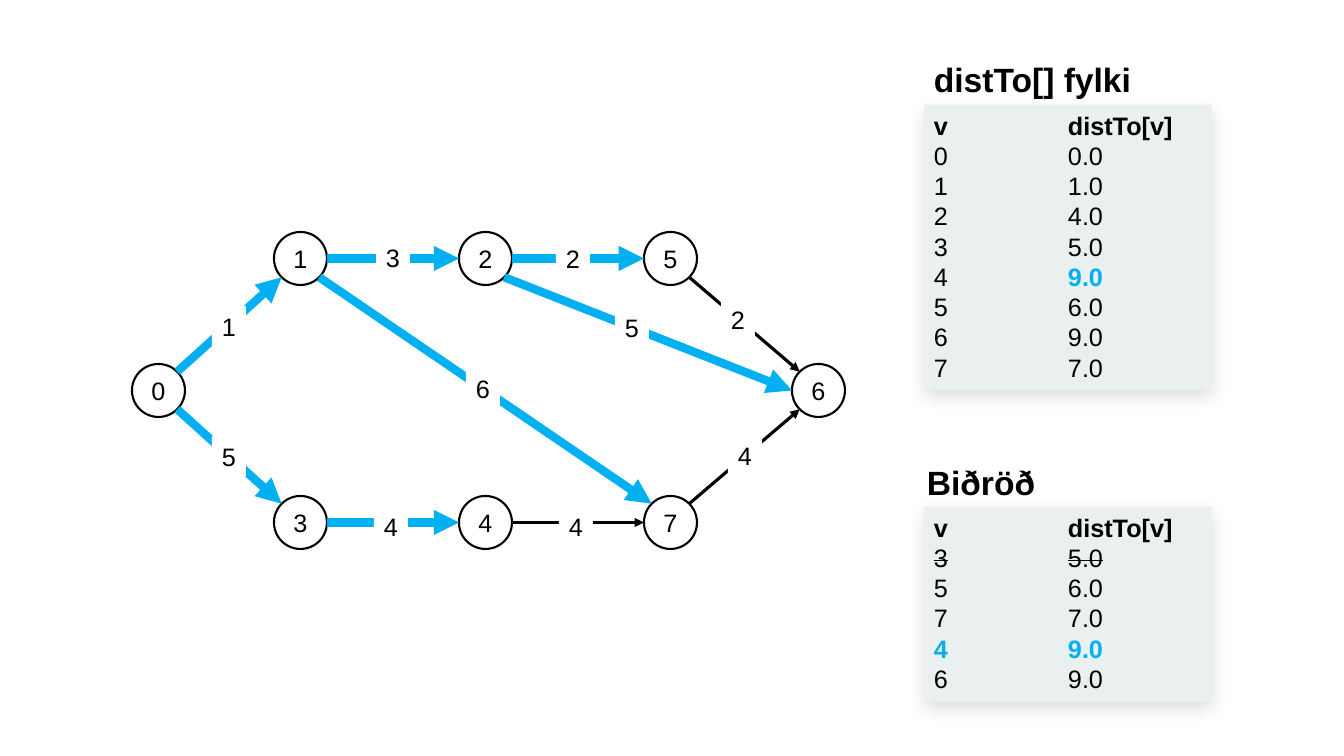
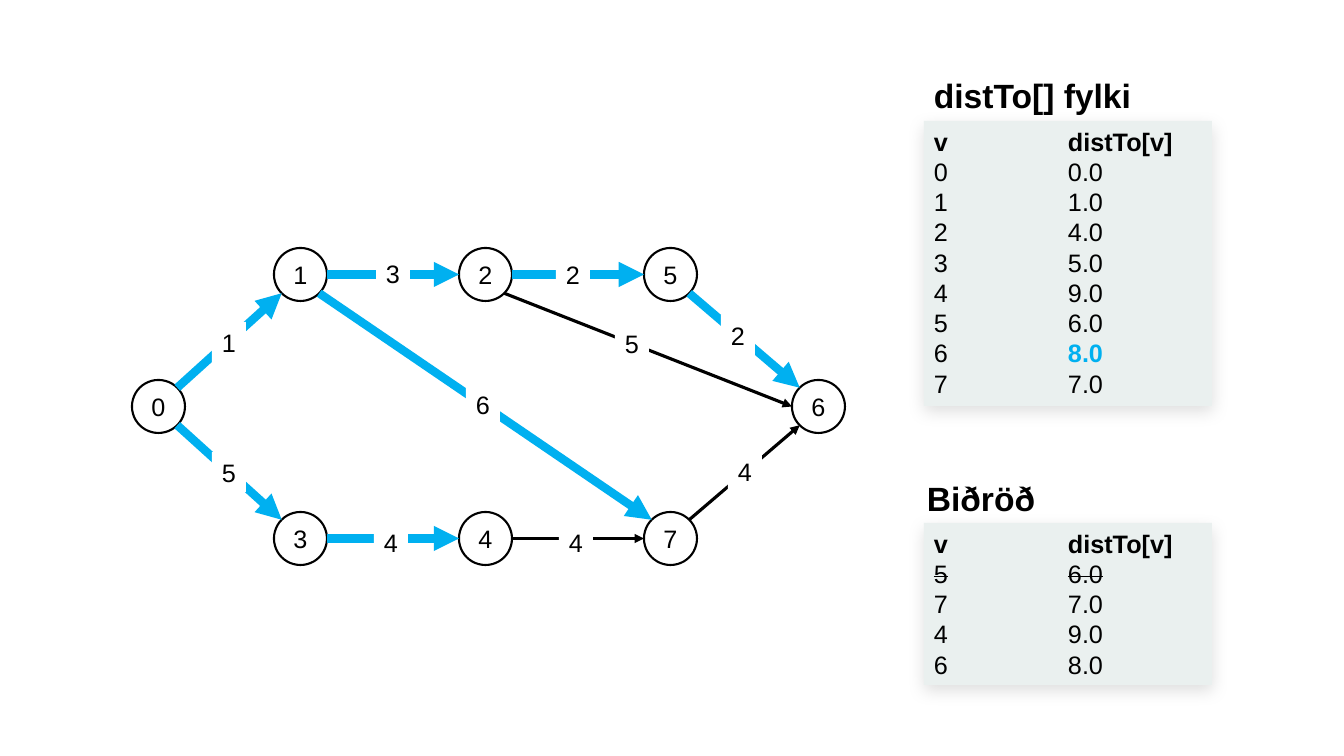
"""Build two slides that step through shortest paths on a weighted graph."""
from math import cos, radians, sin

from lxml.etree import SubElement
from pptx import Presentation
from pptx.dml.color import RGBColor
from pptx.enum.shapes import MSO_CONNECTOR, MSO_SHAPE
from pptx.enum.text import MSO_ANCHOR, PP_ALIGN
from pptx.oxml.ns import qn
from pptx.util import Pt

BLACK, WHITE, BLUE, PANEL = "000000", "FFFFFF", "00B0F0", "EAF0EF"
NODE = 53
SHIFT = 16
NODES = {
    0: (132, 364), 1: (274, 232), 3: (274, 496), 2: (459, 232),
    4: (459, 496), 5: (644, 232), 7: (644, 496), 6: (792, 364),
}
# start, end, exit angle, entry angle, weight, label left, label top
EDGES = [
    (0, 1, -45, 135, "1", 212, 306),
    (1, 2, 0, 180, "3", 376, 237),
    (2, 5, 0, 180, "2", 556, 238),
    (5, 6, 45, -135, "2", 721, 299),
    (0, 3, 45, -135, "5", 212, 436),
    (3, 4, 0, 180, "4", 374, 506),
    (4, 7, 0, 180, "4", 559, 506),
    (7, 6, -45, 135, "4", 728, 435),
    (1, 7, 45, -135, "6", 466, 368),
    (2, 6, 45, 180, "5", 615, 307),
]
TREE = {(0, 1), (1, 2), (2, 5), (0, 3), (3, 4), (1, 7)}
STEPS = [
    {
        "tree": TREE | {(2, 6)},
        "distances": ["0.0", "1.0", "4.0", "5.0", "9.0", "6.0", "9.0", "7.0"],
        "changed": 4,
        "queue": [3, 5, 7, 4, 6],
        "queue changed": 4,
        "queue height": 195,
    },
    {
        "tree": TREE | {(5, 6)},
        "distances": ["0.0", "1.0", "4.0", "5.0", "9.0", "6.0", "8.0", "7.0"],
        "changed": 6,
        "queue": [5, 7, 4, 6],
        "queue changed": None,
        "queue height": 162,
    },
]


def px(length):
    return round(length * 914400 / 100.8)


def write(box, lines, size=18, align=PP_ALIGN.LEFT, anchor=MSO_ANCHOR.TOP, wrap=False):
    frame = box.text_frame
    frame.word_wrap = wrap
    frame.vertical_anchor = anchor
    for index, (text, color, bold, struck) in enumerate(lines):
        para = frame.add_paragraph() if index else frame.paragraphs[0]
        para.alignment = align
        para.font.name = "Arial"
        para.font.size = Pt(size)
        para.font.bold = bold
        para.font.color.rgb = RGBColor.from_string(color)
        span = para.add_run()
        span.text = text
        if struck:
            span._r.get_or_add_rPr().set("strike", "sngStrike")


deck = Presentation()
deck.slide_width, deck.slide_height = px(1344), px(756)

for number, step in enumerate(STEPS):
    page = deck.slides.add_slide(deck.slide_layouts[6])
    down = number * SHIFT
    distances = step["distances"]

    panels = [
        ("distTo[] fylki", 924, 54, 220, 285, range(8), step["changed"], None),
        ("Biðröð", 917, 457, 130, step["queue height"], step["queue"],
         step["queue changed"], step["queue"][0]),
    ]
    for title, left, top, width, height, vertices, changed, removed in panels:
        panel = page.shapes.add_shape(
            MSO_SHAPE.RECTANGLE, px(924), px(top + 51 - top // 400 + down), px(288), px(height))
        panel.fill.solid()
        panel.fill.fore_color.rgb = RGBColor.from_string(PANEL)
        panel.line.fill.background()
        panel.shadow.inherit = False
        effects = panel._element.spPr.find(qn("a:effectLst"))
        shadow = SubElement(effects, qn("a:outerShdw"), blurRad="158750",
                            dist="50800", dir="5400000", algn="t", rotWithShape="0")
        tint = SubElement(shadow, qn("a:srgbClr"), val=BLACK)
        SubElement(tint, qn("a:alpha"), val="13000")
        lines = []
        for heading, values in (("v", [str(v) for v in vertices]),
                                ("distTo[v]", [distances[v] for v in vertices])):
            lines.append((heading, BLACK, True, False))
            for vertex, value in zip(vertices, values):
                marked = vertex == changed and (heading != "v" or removed is not None)
                lines.append((value, BLUE if marked else BLACK, marked, vertex == removed))
        write(panel, lines, wrap=True)
        for para in panel.text_frame.paragraphs:
            para.line_spacing = Pt(21.6)
        columns = panel._element.txBody.bodyPr
        columns.set("numCol", "2")
        columns.set("spcCol", "0")
        caption = page.shapes.add_textbox(px(left), px(top + down), px(width), px(50))
        write(caption, [(title, BLACK, True, False)], size=24)

    for vertex, (left, top) in NODES.items():
        node = page.shapes.add_shape(
            MSO_SHAPE.OVAL, px(left), px(top + down), px(NODE), px(NODE))
        node.shadow.inherit = False
        node.fill.solid()
        node.fill.fore_color.rgb = RGBColor.from_string(WHITE)
        node.line.color.rgb = RGBColor.from_string(BLACK)
        node.line.width = Pt(1.5)
        write(node, [(str(vertex), BLACK, False, False)],
              align=PP_ALIGN.CENTER, anchor=MSO_ANCHOR.MIDDLE)

    for start, end, leave, enter, *_ in EDGES:
        points = []
        for vertex, angle in ((start, leave), (end, enter)):
            left, top = NODES[vertex]
            points.append(px(left + NODE / 2 * (1 + cos(radians(angle)))))
            points.append(px(top + down + NODE / 2 * (1 + sin(radians(angle)))))
        chosen = (start, end) in step["tree"]
        edge = page.shapes.add_connector(MSO_CONNECTOR.STRAIGHT, *points)
        edge.line.color.rgb = RGBColor.from_string(BLUE if chosen else BLACK)
        edge.line.width = Pt(6 if chosen else 2.25)
        SubElement(edge.line._get_or_add_ln(), qn("a:tailEnd"), type="triangle")
        SubElement(edge._element.spPr, qn("a:effectLst"))

    for *_, weight, left, top in EDGES:
        label = page.shapes.add_shape(
            MSO_SHAPE.RECTANGLE, px(left), px(top + down), px(34), px(40))
        label.shadow.inherit = False
        label.fill.solid()
        label.fill.fore_color.rgb = RGBColor.from_string(WHITE)
        label.line.fill.background()
        write(label, [(weight, BLACK, False, False)])

deck.save("out.pptx")
